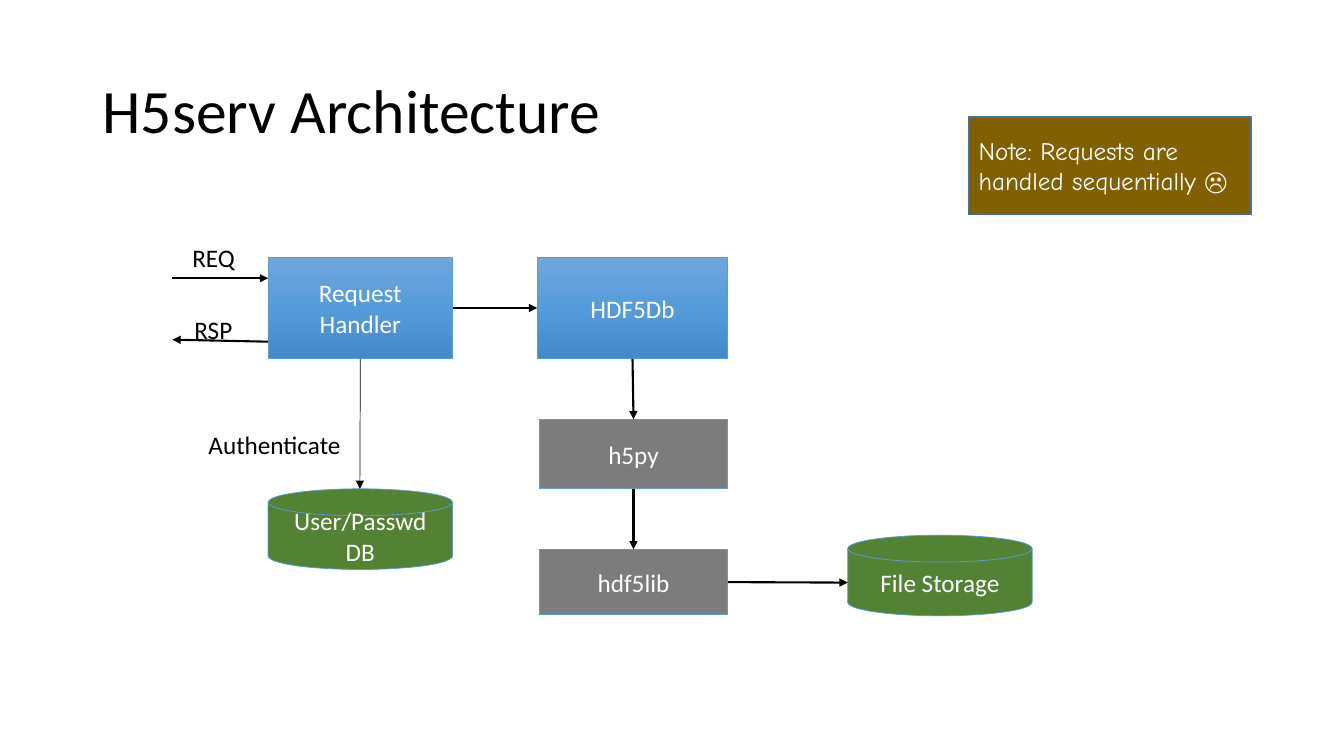
from copy import deepcopy
from dataclasses import dataclass
from typing import Optional

from lxml import etree
from pptx import Presentation
from pptx.dml.color import RGBColor
from pptx.enum.shapes import MSO_CONNECTOR, MSO_SHAPE
from pptx.enum.text import MSO_ANCHOR, MSO_AUTO_SIZE, PP_ALIGN
from pptx.oxml.ns import qn
from pptx.util import Inches, Pt

CELL = Inches(0.1)  # side of one square grid cell
COLUMNS, ROWS = 133.33, 75
TOP, LEFT, BOTTOM, RIGHT = range(4)

COLOURS = {
    "black": "000000", "white": "FFFFFF", "grey": "7C7C7C", "green": "548235",
    "brown": "806000", "outline": "5B9BD5", "note outline": "43739E",
    "blue light": "71A6DB", "blue middle": "559BDB", "blue dark": "448ACA",
}
BLUE_GRADIENT = ("blue light", "blue middle", "blue dark")


@dataclass
class Node:
    text: str
    column: float
    row: float
    width: float
    height: float
    fill: str
    kind: MSO_SHAPE = MSO_SHAPE.RECTANGLE
    outline: str = "outline"
    outline_width: float = 0.5
    font: str = "Calibri"
    alignment: PP_ALIGN = PP_ALIGN.CENTER


@dataclass
class Label:
    text: str
    column: float
    row: float
    width: float
    height: float
    size: int = 18
    wrap: bool = True
    anchor: MSO_ANCHOR = MSO_ANCHOR.TOP
    auto_size: MSO_AUTO_SIZE = MSO_AUTO_SIZE.SHAPE_TO_FIT_TEXT
    line_spacing: float = 1.0


@dataclass
class Arrow:
    start: tuple[float, float]
    end: tuple[float, float]
    source: Optional[tuple[str, int]] = None
    target: Optional[tuple[str, int]] = None
    width: float = 1.5


NODES = [
    Node("Request Handler", 26.6, 25.5, 18.3, 10.1, "gradient"),
    Node("HDF5Db", 53.3, 25.5, 18.9, 10.1, "gradient"),
    Node("h5py", 53.5, 41.6, 18.7, 6.9, "grey"),
    Node("hdf5lib", 53.5, 54.5, 18.7, 6.5, "grey"),
    Node("File Storage", 84.1, 53.1, 18.3, 8, "green",
         MSO_SHAPE.FLOWCHART_MAGNETIC_DISK),
    Node("User/Passwd DB", 26.6, 48.5, 18.3, 8, "green",
         MSO_SHAPE.FLOWCHART_MAGNETIC_DISK),
    Node("Note: Requests are handled sequentially ☹", 96.1, 11.6, 28, 9.7, "brown",
         outline="note outline", outline_width=1, font="Comic Neue",
         alignment=PP_ALIGN.LEFT),
]
LABELS = [
    Label("H5serv Architecture", 9.2, 4, 115, 14.5, 44, anchor=MSO_ANCHOR.MIDDLE,
          auto_size=MSO_AUTO_SIZE.NONE, line_spacing=0.9),
    Label("REQ", 18.1, 23.5, 6.3, 3.4, wrap=False),
    Label("RSP", 18.3, 30.7, 6.1, 3.4, wrap=False),
    Label("Authenticate", 19.7, 42.1, 15.4, 4),
]
ARROWS = [
    Arrow((44.9, 30.5), (53.3, 30.5), ("Request Handler", RIGHT), ("HDF5Db", LEFT)),
    Arrow((62.7, 35.6), (62.9, 41.6), ("HDF5Db", BOTTOM), ("h5py", TOP)),
    Arrow((62.9, 48.5), (62.9, 54.5), ("h5py", BOTTOM), ("hdf5lib", TOP)),
    Arrow((72.2, 57.8), (84.1, 57.8), ("hdf5lib", RIGHT)),
    Arrow((17.1, 27.6), (26.6, 27.6)),
    Arrow((26.6, 33.9), (17.1, 33.7)),
    Arrow((35.7, 35.6), (35.7, 48.5), ("Request Handler", BOTTOM), width=0.5),
]


def grid(*cells: float) -> list[int]:
    return [round(cell * CELL) for cell in cells]


def colour(name: str) -> RGBColor:
    return RGBColor.from_string(COLOURS[name])


def write(text_frame, text: str, size: int, font: str, colour_name: str) -> None:
    text_frame.text = text
    for run in text_frame.paragraphs[0].runs:
        run.font.size = Pt(size)
        run.font.name = font
        run.font.color.rgb = colour(colour_name)


def fill_gradient(shape) -> None:
    shape.fill.gradient()
    shape.fill.gradient_angle = 270
    stop_list = shape.fill._xPr.find(qn("a:gradFill")).find(qn("a:gsLst"))
    stop_list.insert(1, deepcopy(stop_list[0]))
    for index, stop in enumerate(shape.fill.gradient_stops):
        stop.position = index / 2
        stop.color.rgb = colour(BLUE_GRADIENT[index])


def draw_node(slide, node: Node):
    shape = slide.shapes.add_shape(
        node.kind, *grid(node.column, node.row, node.width, node.height))
    shape.shadow.inherit = False
    if node.fill == "gradient":
        fill_gradient(shape)
    else:
        shape.fill.solid()
        shape.fill.fore_color.rgb = colour(node.fill)
    shape.line.color.rgb = colour(node.outline)
    shape.line.width = Pt(node.outline_width)
    text_frame = shape.text_frame
    write(text_frame, node.text, 18, node.font, "white")
    text_frame.word_wrap = True
    text_frame.vertical_anchor = MSO_ANCHOR.MIDDLE
    text_frame.paragraphs[0].alignment = node.alignment
    return shape


def draw_label(slide, label: Label) -> None:
    text_frame = slide.shapes.add_textbox(
        *grid(label.column, label.row, label.width, label.height)).text_frame
    write(text_frame, label.text, label.size, "Calibri", "black")
    text_frame.word_wrap = label.wrap
    text_frame.vertical_anchor = label.anchor
    text_frame.auto_size = label.auto_size
    text_frame.paragraphs[0].line_spacing = label.line_spacing


def draw_arrow(slide, arrow: Arrow, shapes: dict) -> None:
    connector = slide.shapes.add_connector(
        MSO_CONNECTOR.STRAIGHT, *grid(*arrow.start, *arrow.end))
    if arrow.source:
        name, side = arrow.source
        connector.begin_connect(shapes[name], side)
    if arrow.target:
        name, side = arrow.target
        connector.end_connect(shapes[name], side)
    connector.line.color.rgb = colour("black")
    connector.line.width = Pt(arrow.width)
    # Arrowhead, and no shadow
    properties = connector._element.spPr
    etree.SubElement(properties.find(qn("a:ln")), qn("a:tailEnd"), type="triangle")
    etree.SubElement(properties, qn("a:effectLst"))


def main() -> None:
    presentation = Presentation()
    presentation.slide_width, presentation.slide_height = grid(COLUMNS, ROWS)
    slide = presentation.slides.add_slide(presentation.slide_layouts[6])

    # Components, stores and the note
    shapes = {node.text: draw_node(slide, node) for node in NODES}
    # Flow between components
    for arrow in ARROWS:
        draw_arrow(slide, arrow, shapes)
    # Title and flow labels
    for label in LABELS:
        draw_label(slide, label)

    presentation.save("out.pptx")


if __name__ == "__main__":
    main()
